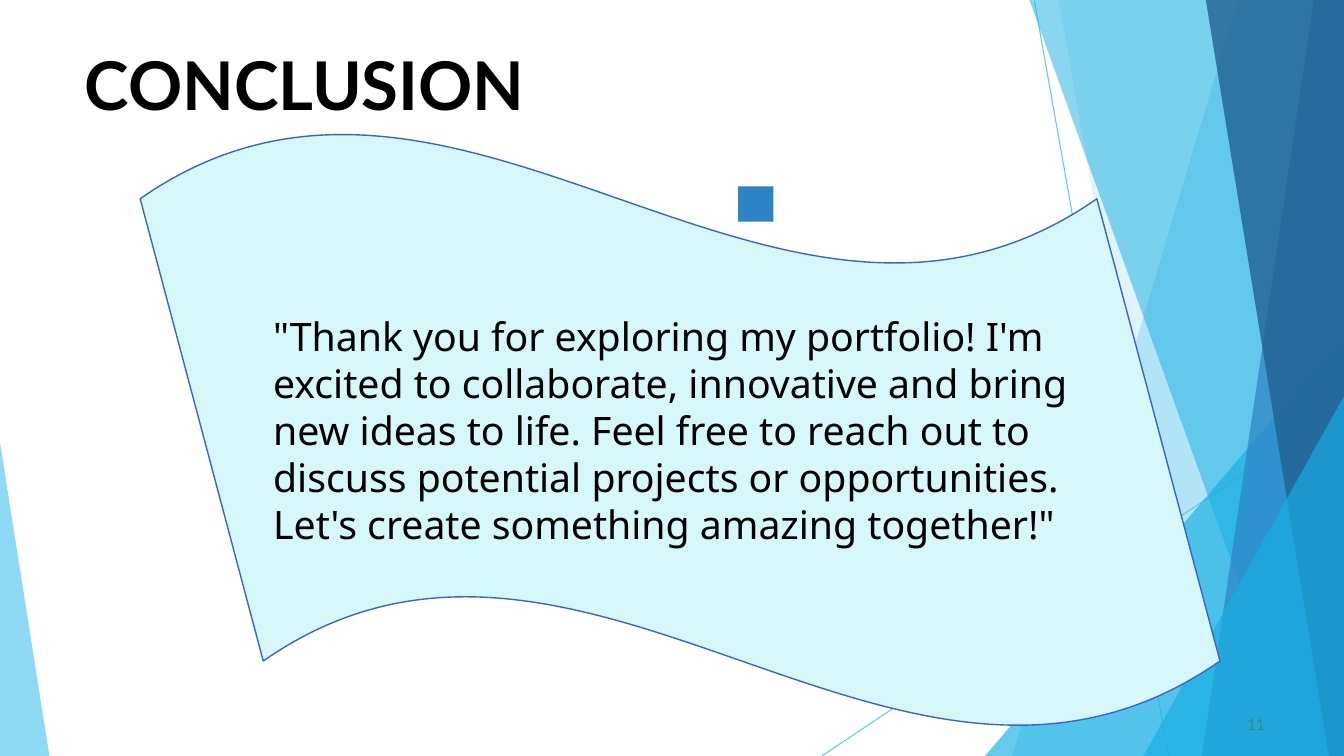
from dataclasses import dataclass
from typing import Any, NamedTuple

from lxml.etree import SubElement
from pptx import Presentation
from pptx.dml.color import RGBColor
from pptx.enum.shapes import MSO_CONNECTOR, MSO_SHAPE
from pptx.enum.text import MSO_ANCHOR, MSO_AUTO_SIZE, PP_ALIGN
from pptx.oxml.ns import qn
from pptx.slide import Slide
from pptx.util import Inches, Pt

WIDE, HIGH = 13.33, 7.5
Point = tuple[float, float]


@dataclass(frozen=True)
class Theme:
    sky: str = "5FCAEE"
    cyan: str = "17AFE3"
    blue: str = "2D83C3"
    navy: str = "226192"
    green: str = "2D936B"
    pale: str = "D6F8FA"
    edge: str = "3B63D2"
    black: str = "000000"
    head: str = "Lato"
    body: str = "Noto Sans"
    title: float = 48
    quote: float = 28
    small: float = 11
    thin: float = 0.75
    rim: float = 1


class Ray(NamedTuple):
    start: Point
    end: Point


class Facet(NamedTuple):
    points: tuple[Point, ...]
    color: str
    alpha: int


class Label(NamedTuple):
    text: str
    font: str
    size: float
    color: str
    bold: bool = False


def right(top: float, foot: float, rise: float = 0) -> tuple[Point, ...]:
    corner = () if rise else ((top, 0),)
    return ((WIDE, rise), *corner, (foot, HIGH), (WIDE, HIGH))


THEME = Theme()
RAYS = (
    Ray((10.26, 0.01), (11.59, HIGH)),
    Ray((WIDE, 4.04), (8.15, HIGH)),
)
FACETS = (
    Facet(right(12.28, 10.04), THEME.sky, 36),
    Facet(right(10.5, 11.82), THEME.sky, 20),
    Facet(right(WIDE, 9.77, 3.33), THEME.cyan, 66),
    Facet(right(10.21, 12.91), THEME.cyan, 50),
    Facet(right(13.03, 11.92), THEME.blue, 70),
    Facet(right(11.96, 13.18), THEME.navy, 80),
    Facet(right(WIDE, 11.34, 3.93), THEME.cyan, 66),
    Facet(((0, 4.39), (0, HIGH), (0.49, HIGH)), THEME.sky, 70),
)
TITLE = Label("CONCLUSION", THEME.head, THEME.title, THEME.black, True)
QUOTE = Label(
    "\"Thank you for exploring my portfolio! I'm excited to collaborate, "
    "innovative and bring new ideas to life. Feel free to reach out to discuss "
    "potential projects or opportunities. Let's create something amazing together!\"",
    THEME.body, THEME.quote, THEME.black,
)
PAGE = Label("11", THEME.head, THEME.small, THEME.green)
FRAME = {
    "margin_left": 0,
    "margin_top": Inches(0.01),
    "margin_right": 0,
    "margin_bottom": 0,
    "word_wrap": True,
    "auto_size": MSO_AUTO_SIZE.NONE,
    "vertical_anchor": MSO_ANCHOR.TOP,
}
MIDDLE = {"word_wrap": True, "vertical_anchor": MSO_ANCHOR.MIDDLE}


def apply(target: Any, values: dict[str, Any]) -> None:
    for name, value in values.items():
        setattr(target, name, value)


def box(*sides: float) -> list[int]:
    return [Inches(side) for side in sides]


def paint(shape: Any, color: str) -> None:
    shape.shadow.inherit = False
    shape.fill.solid()
    shape.fill.fore_color.rgb = RGBColor.from_string(color)
    shape.line.fill.background()


def stroke(shape: Any, color: str, width: float) -> None:
    shape.line.color.rgb = RGBColor.from_string(color)
    shape.line.width = Pt(width)


def draw_ray(slide: Slide, ray: Ray) -> None:
    line = slide.shapes.add_connector(MSO_CONNECTOR.STRAIGHT, *box(*ray.start, *ray.end))
    stroke(line, THEME.sky, THEME.thin)
    SubElement(line._element.spPr, qn("a:effectLst"))


def draw_facet(slide: Slide, facet: Facet) -> None:
    first, *rest = [tuple(box(*point)) for point in facet.points]
    form = slide.shapes.build_freeform(*first)
    form.add_line_segments(rest, close=True)
    shape = form.convert_to_shape()
    paint(shape, facet.color)
    tint = shape._element.spPr.find(qn("a:solidFill"))[0]
    SubElement(tint, qn("a:alpha"), val=str(facet.alpha * 1000))


def write(shape: Any, label: Label, frame: dict[str, Any], indent: float = 0) -> None:
    apply(shape.text_frame, frame)
    line = shape.text_frame.paragraphs[0]
    line.alignment = PP_ALIGN.LEFT
    if indent:
        line._p.get_or_add_pPr().set("marL", str(Inches(indent)))
    run = line.add_run()
    run.text = label.text
    apply(run.font, {"name": label.font, "size": Pt(label.size), "bold": label.bold})
    run.font.color.rgb = RGBColor.from_string(label.color)


def draw_wave(slide: Slide) -> None:
    wave = slide.shapes.add_shape(MSO_SHAPE.WAVE, *box(1.39, 1.31, 10.71, 5.91))
    wave.adjustments[0], wave.adjustments[1] = 0.112, 0.057
    paint(wave, THEME.pale)
    stroke(wave, THEME.edge, THEME.rim)
    write(wave, QUOTE, MIDDLE)


def main() -> None:
    deck = Presentation()
    apply(deck, {"slide_width": Inches(WIDE), "slide_height": Inches(HIGH)})
    slide = deck.slides.add_slide(deck.slide_layouts[5])
    for ray in RAYS:
        draw_ray(slide, ray)
    for facet in FACETS:
        draw_facet(slide, facet)

    square = slide.shapes.add_shape(MSO_SHAPE.RECTANGLE, *box(7.32, 1.85, 0.35, 0.35))
    paint(square, THEME.blue)

    title = slide.shapes.title
    apply(title, dict(zip(("left", "top", "width", "height"), box(0.83, 0.42, 5.01, 0.81))))
    write(title, TITLE, FRAME, 0.01)
    page = slide.shapes.add_textbox(*box(12.33, 7.08, 0.25, 0.18))
    write(page, PAGE, FRAME, 0.04)
    draw_wave(slide)
    deck.save("out.pptx")


if __name__ == "__main__":
    main()
